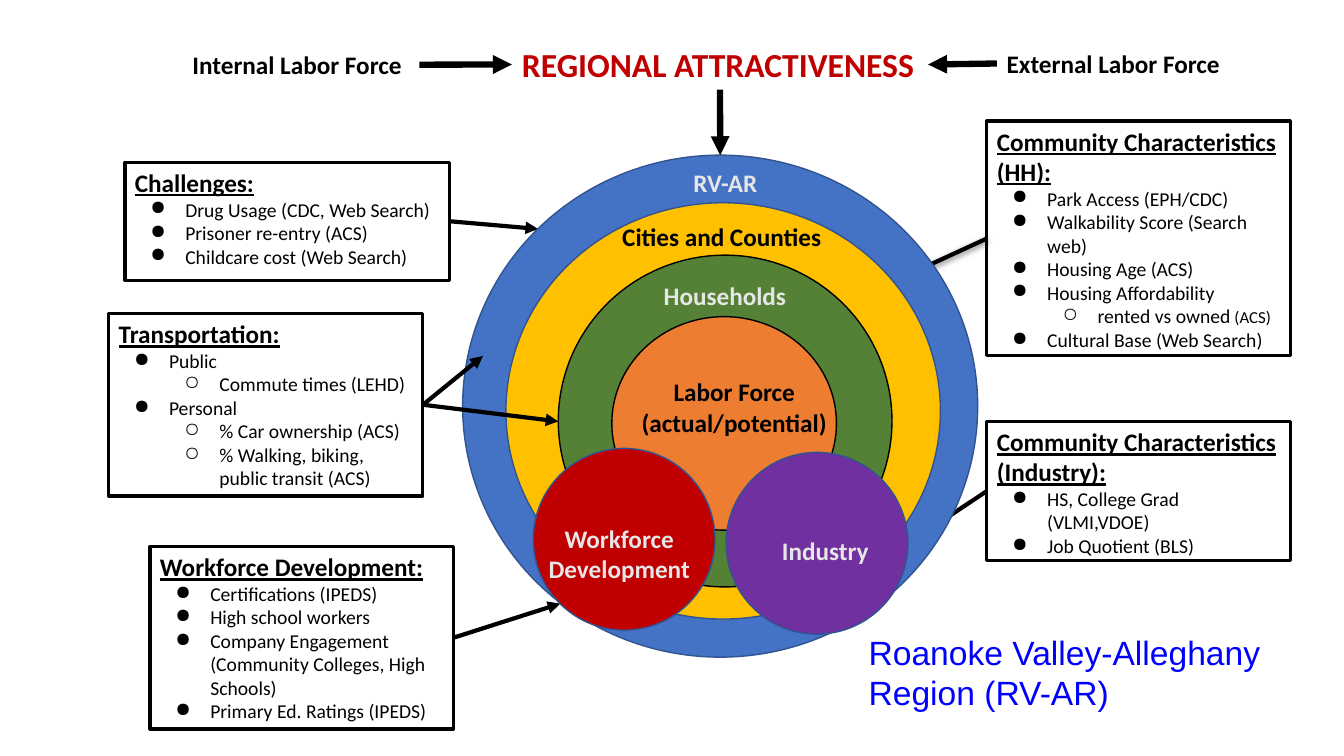
from lxml.etree import SubElement
from pptx import Presentation
from pptx.dml.color import RGBColor
from pptx.enum.shapes import MSO_CONNECTOR, MSO_SHAPE
from pptx.enum.text import MSO_ANCHOR, MSO_AUTO_SIZE, PP_ALIGN
from pptx.oxml.ns import qn
from pptx.util import Cm, Pt

HUES = {
    "black": "000000", "pale": "E7E6E6", "red": "C00000", "link": "0000FF",
    "blue": "4472C4", "edge": "31538F", "gold": "FFC000", "green": "548135",
    "orange": "ED7D31", "purple": "7030A0",
}

TITLE = ("REGIONAL ATTRACTIVENESS", (12.9, 0.99, 10.49, 1.27))
NOTE = ("Roanoke Valley-Alleghany Region (RV-AR)", (21.64, 15.67, 10.64, 1.8))
FORCES = [
    ("Internal Labor Force", (4.6, 1.12, 5.97, 1.02), 3, 1),
    ("External Labor Force", (25.12, 1.09, 6.5, 1.02), 1, 3),
]

# Level 0 and level 1 bullets; arrows give their end points
BOXES = [
    ("Community Characteristics (HH):", (24.87, 3.05, 7.65, 5.92), 1,
     [(0, "Park Access (EPH/CDC)"), (0, "Walkability Score (Search web)"),
      (0, "Housing Age (ACS)"), (0, "Housing Affordability"),
      (1, "rented vs owned", " (ACS)"), (0, "Cultural Base (Web Search)")],
     [(21.26, 7.67)]),
    ("Challenges:", (3.15, 4.09, 8.18, 2.97), 3,
     [(0, "Drug Usage (CDC, Web Search)"), (0, "Prisoner re-entry (ACS)"),
      (0, "Childcare cost (Web Search)")],
     [(13.56, 5.77)]),
    ("Transportation:", (2.74, 7.9, 7.92, 4.6), 3,
     [(0, "Public"), (1, "Commute times (LEHD)"), (0, "Personal"),
      (1, "% Car ownership (ACS)"),
      (1, "% Walking, biking, public transit (ACS)")],
     [(14.07, 10.62), (12.17, 8.97)]),
    ("Workforce Development:", (3.78, 13.77, 7.65, 4.6), 3,
     [(0, "Certifications (IPEDS)"), (0, "High school workers"),
      (0, "Company Engagement (Community Colleges, High Schools)"),
      (0, "Primary Ed. Ratings (IPEDS)")],
     [(14.12, 15.21)]),
    ("Community Characteristics (Industry):", (24.87, 10.62, 7.65, 3.51), 1,
     [(0, "HS, College Grad (VLMI,VDOE)"), (0, "Job Quotient (BLS)")],
     [(22.89, 13.69)]),
]
RINGS = [
    ("blue", "edge", (11.66, 3.91, 12.98, 12.65),
     ["RV-AR"], "pale", (16.03, 4.09, 4.5, 1.45)),
    ("gold", "edge", (12.75, 5.11, 10.95, 10.49),
     ["Cities and Counties"], "black", (14.94, 5.44, 6.5, 1.02)),
    ("green", "black", (14.07, 6.43, 8.41, 8.36),
     ["Households"], "pale", (16.38, 6.93, 3.78, 1.02)),
    ("orange", "black", (15.42, 7.98, 5.66, 5.38),
     ["Labor Force", "(actual/potential)"], "black", (15.85, 9.37, 5.31, 1.7)),
    ("purple", "edge", (18.3, 11.4, 4.58, 4.58),
     ["Industry"], "pale", (19.38, 13.36, 2.84, 1.02)),
    ("red", "edge", (13.44, 11.3, 4.58, 4.58),
     ["Workforce", "Development"], "pale", (13.56, 13.06, 4.09, 1.45)),
]


def place(box):
    return [Cm(n) for n in box]


def tint(name):
    return RGBColor.from_string(HUES[name])


def style(para, size, hue, bold=False, line=False, face="Calibri"):
    font = para.font
    font.name, font.size, font.bold, font.underline = face, Pt(size), bold, line
    font.color.rgb = tint(hue)


def label(lines, box, size=18, hue="black", align=PP_ALIGN.LEFT, bold=True, face="Calibri"):
    shape = slide.shapes.add_textbox(*place(box))
    frame = shape.text_frame
    frame.word_wrap = True
    frame.text = "\n".join(lines)
    for para in frame.paragraphs:
        para.alignment = align
        style(para, size, hue, bold, face=face)
    return shape


def mark(para, level):
    para.level = level
    prop = para._p.get_or_add_pPr()
    prop.set("marL", str(Cm(1.27 * (level + 1))))
    prop.set("indent", str(-Cm(0.88)))
    tone = SubElement(prop, qn("a:buClr"))
    SubElement(tone, qn("a:srgbClr"), val=HUES["black"])
    SubElement(prop, qn("a:buChar"), char="●○"[level])


def panel(head, box, items):
    shape = slide.shapes.add_shape(MSO_SHAPE.RECTANGLE, *place(box))
    shape.shadow.inherit = False
    shape.fill.background()
    shape.line.color.rgb = tint("black")
    shape.line.width = Pt(2.25)
    frame = shape.text_frame
    frame.word_wrap = True
    frame.vertical_anchor = MSO_ANCHOR.TOP
    para = frame.paragraphs[0]
    para.text = head
    para.alignment = PP_ALIGN.LEFT
    style(para, 18, "black", True, True)
    for level, text, *small in items:
        para = frame.add_paragraph()
        para.alignment = PP_ALIGN.LEFT
        mark(para, level)
        style(para, 14, "black")
        para.add_run().text = text
        for part in small:
            run = para.add_run()
            run.text = part
            run.font.size = Pt(12)
    return shape


def arrow(start, side, end, width, goal=None, shade=False):
    line = slide.shapes.add_connector(MSO_CONNECTOR.STRAIGHT, 0, 0, *place(end))
    line.begin_connect(start, side)
    if goal is not None:
        line.end_connect(*goal)
    line.line.color.rgb = tint("black")
    line.line.width = Pt(width)
    SubElement(line.line._get_or_add_ln(), qn("a:tailEnd"), type="triangle")
    glow = SubElement(line._element.spPr, qn("a:effectLst"))
    if shade:
        cast = SubElement(glow, qn("a:outerShdw"), blurRad=str(Pt(4.5)),
                          dist=str(Pt(1.5)), dir="5400000", rotWithShape="0")
        tone = SubElement(cast, qn("a:srgbClr"), val=HUES["black"])
        SubElement(tone, qn("a:alpha"), val="50000")


def ring(fill, edge, box):
    shape = slide.shapes.add_shape(MSO_SHAPE.OVAL, *place(box))
    shape.shadow.inherit = False
    shape.fill.solid()
    shape.fill.fore_color.rgb = tint(fill)
    shape.line.color.rgb = tint(edge)
    shape.line.width = Pt(1)
    return shape


deck = Presentation()
deck.slide_width, deck.slide_height = Cm(33.87), Cm(19.05)
slide = deck.slides.add_slide(deck.slide_layouts[5])

title = slide.shapes.title
title.left, title.top, title.width, title.height = place(TITLE[1])
frame = title.text_frame
frame.text = TITLE[0]
frame.word_wrap = True
frame.auto_size = MSO_AUTO_SIZE.NONE
frame.vertical_anchor = MSO_ANCHOR.TOP
frame.paragraphs[0].alignment = PP_ALIGN.LEFT
style(frame.paragraphs[0], 24, "red", True)

panels = [panel(head, box, items) for head, box, _, items, _ in BOXES]
for shape, (_, _, side, _, ends) in zip(panels, BOXES):
    if len(ends) == 1:
        arrow(shape, side, ends[0], 3, shade=shape is panels[0])

note = label([NOTE[0]], NOTE[1], 24, "link", bold=False, face="Arial")
note.text_frame.margin_top = note.text_frame.margin_bottom = Cm(0.25)

rings = []
for fill, edge, box, lines, hue, spot in RINGS:
    rings.append(ring(fill, edge, box))
    label(lines, spot, hue=hue, align=PP_ALIGN.CENTER)

for text, box, side, goal in FORCES:
    arrow(label([text], box), side, (0, 0), 4.5, (title, goal))
arrow(title, 2, (0, 0), 4.5, (rings[0], 0))
for shape, (_, _, side, _, ends) in zip(panels, BOXES):
    if len(ends) > 1:
        for end in ends:
            arrow(shape, side, end, 3)

deck.save("out.pptx")
